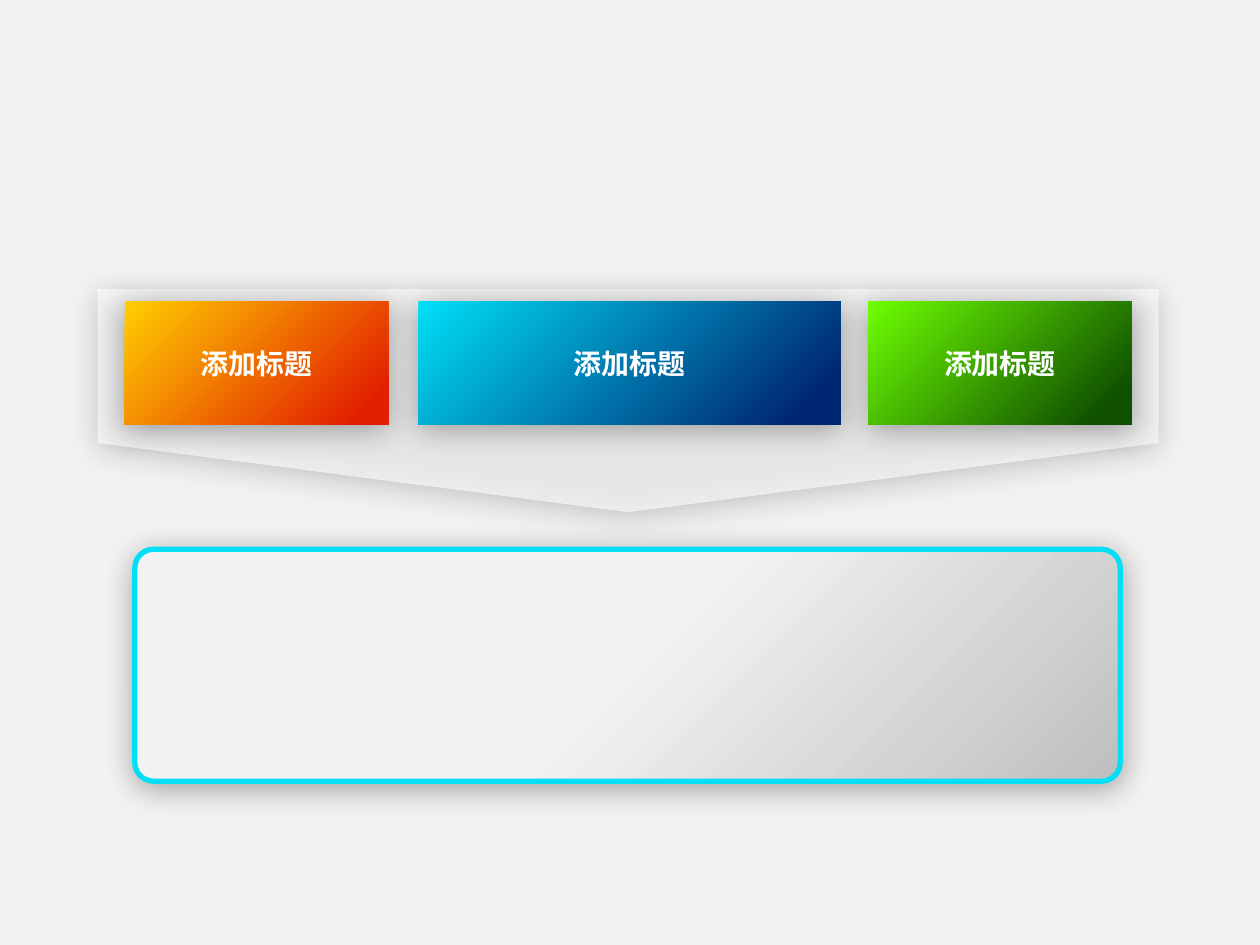
from lxml import etree
from pptx import Presentation
from pptx.dml.color import RGBColor
from pptx.enum.shapes import MSO_SHAPE
from pptx.enum.text import MSO_ANCHOR, PP_ALIGN
from pptx.oxml.ns import qn
from pptx.util import Inches, Pt

PENTAGON = MSO_SHAPE.PENTAGON
RECTANGLE = MSO_SHAPE.RECTANGLE
ROUNDED = MSO_SHAPE.ROUNDED_RECTANGLE
MIDDLE = MSO_ANCHOR.MIDDLE
CENTER = PP_ALIGN.CENTER
FONT = "Noto Sans CJK SC"


def color(value):
    return RGBColor.from_string(value)


def add_panel(kind, box, stops):
    panel = slide.shapes.add_shape(kind, *[Inches(length) for length in box])
    panel.shadow.inherit = False
    effects = panel._element.spPr.find(qn("a:effectLst"))
    shadow = etree.SubElement(
        effects, qn("a:outerShdw"), blurRad=str(Pt(17.8)), dist=str(Pt(3)),
        dir=str(87 * 60000), algn="ctr", rotWithShape="0")
    tint = etree.SubElement(shadow, qn("a:srgbClr"), val="000000")
    etree.SubElement(tint, qn("a:alpha"), val="33000")
    panel.line.fill.background()
    if stops:
        panel.fill.gradient()
        panel.fill.gradient_angle = 315
        for stop, (position, shade) in zip(panel.fill.gradient_stops, stops):
            stop.position = position
            stop.color.rgb = color(shade)
    return panel


prs = Presentation()
prs.slide_width = Inches(10)
prs.slide_height = Inches(7.5)
slide = prs.slides.add_slide(prs.slide_layouts[6])
slide.background.fill.solid()
slide.background.fill.fore_color.rgb = color("F2F2F2")

arrow = add_panel(PENTAGON, (4.1, -1.03, 1.77, 8.42), None)
arrow.rotation = 90
arrow.adjustments[0] = 0.31
arrow.fill.solid()
arrow.fill.fore_color.rgb = color("FFFFFF")
arrow_white = arrow._element.spPr.find(qn("a:solidFill")).find(qn("a:srgbClr"))
etree.SubElement(arrow_white, qn("a:alpha"), val="60000")

title_format = {"size": Pt(16), "bold": True, "name": FONT}
titles = [
    (0.99, 2.09, "FFCF01", "E22000"),
    (3.32, 3.35, "00DFF6", "002774"),
    (6.89, 2.09, "6EFF01", "0F5000"),
]
for left, width, light, dark in titles:
    title = add_panel(RECTANGLE, (left, 2.39, width, 0.98), [(0, light), (0.9, dark)])
    title.text_frame.vertical_anchor = MIDDLE
    title.text_frame.word_wrap = True
    paragraph = title.text_frame.paragraphs[0]
    paragraph.alignment = CENTER
    run = paragraph.add_run()
    run.text = "添加标题"
    run.font.color.rgb = color("FFFFFF")
    for key, value in title_format.items():
        setattr(run.font, key, value)
    etree.SubElement(run.font._element, qn("a:ea"), typeface=FONT)

content = add_panel(ROUNDED, (1.07, 4.36, 7.82, 1.84), [(0.5, "F2F2F2"), (1, "BFBFBF")])
content.adjustments[0] = 0.08
content.line.color.rgb = color("00DFF6")
content.line.width = Pt(3)

prs.save("out.pptx")
